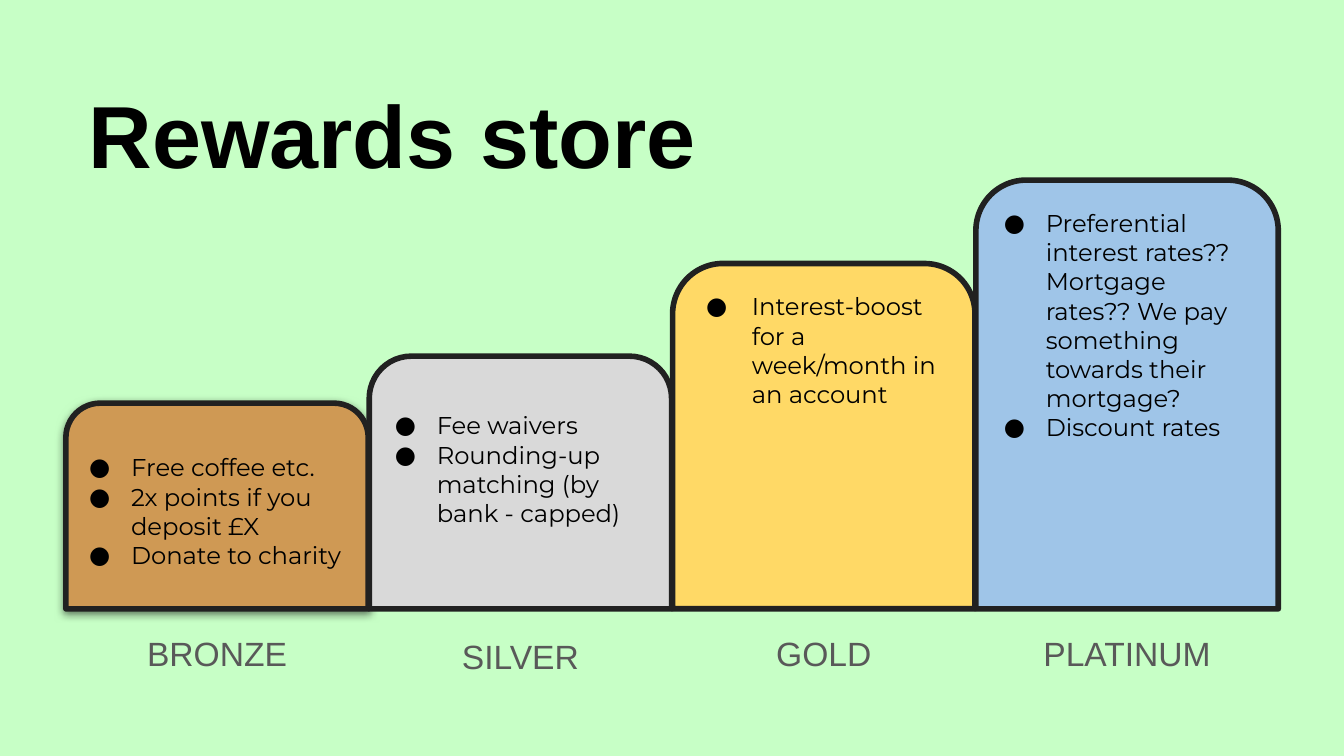
from lxml import etree
from pptx import Presentation
from pptx.dml.color import RGBColor
from pptx.enum import shapes, text
from pptx.oxml import ns
from pptx.util import Pt

HUES = {
    "back": "C7FFC6", "ink": "000000", "edge": "212121", "label": "595959",
    "bronze": "CF9954", "silver": "D9D9D9", "gold": "FFD966", "plat": "9FC5E8",
}

# Column grid in points
LEFT, WIDTH, PITCH, BASE = 35.3, 162, 162.5, 326.2

# Label, fill, height, list indent, top inset, label drop, items
TIERS = [
    ("BRONZE", "bronze", 110.2, 22.5, 7.2, 0,
     ["Free coffee etc.", "2x points if you deposit £X", "Donate to charity"]),
    ("SILVER", "silver", 135.4, 22.5, 22.6, 1.4,
     ["Fee waivers", "Rounding-up matching (by bank - capped)"]),
    ("GOLD", "gold", 185, 27.5, 7.2, 0,
     ["Interest-boost for a week/month in an account"]),
    ("PLATINUM", "plat", 229.7, 22.5, 7.2, 0,
     ["Preferential interest rates?? Mortgage rates?? We pay something "
      "towards their mortgage?", "Discount rates"]),
]


def rgb(name):
    return RGBColor.from_string(HUES[name])


def add(parent, tag, **attrs):
    return etree.SubElement(parent, ns.qn(tag), attrs)


def bullet(para, indent):
    props = para._p.get_or_add_pPr()
    props.set("marL", str(Pt(indent)))
    props.set("indent", str(Pt(-24.5)))
    add(add(props, "a:buClr"), "a:srgbClr", val=HUES["ink"])
    add(props, "a:buFont", typeface="Montserrat")
    add(props, "a:buChar", char="●")


def write(shape, lines, size, font="Arial", hue="ink", bold=False,
          align="LEFT", anchor="TOP", top=7.2, indent=None):
    frame = shape.text_frame
    frame.word_wrap = True
    frame.auto_size = text.MSO_AUTO_SIZE.NONE
    frame.vertical_anchor = getattr(text.MSO_ANCHOR, anchor)
    frame.margin_left = frame.margin_right = frame.margin_bottom = Pt(7.2)
    frame.margin_top = Pt(top)
    for i, line in enumerate(lines):
        para = frame.add_paragraph() if i else frame.paragraphs[0]
        para.alignment = getattr(text.PP_ALIGN, align)
        if indent is not None:
            bullet(para, indent)
        run = para.add_run()
        run.text = line
        run.font.size, run.font.name, run.font.bold = Pt(size), font, bold
        run.font.color.rgb = rgb(hue)


def shade(shape):
    fx = shape._element.spPr.find(ns.qn("a:effectLst"))
    cast = add(fx, "a:outerShdw", blurRad=str(Pt(4.5)), dist=str(Pt(1.5)),
               dir="5400000", algn="bl", rotWithShape="0")
    add(add(cast, "a:srgbClr", val=HUES["ink"]), "a:alpha", val="50000")


def head(slide, x, y, w, h):
    title = slide.shapes.title
    title.left, title.top, title.width, title.height = map(Pt, (x, y, w, h))
    write(title, ["Rewards store"], 47.2, bold=True, top=12)


def step(slide, x, base, w, tier):
    name, hue, high, indent, top, drop, items = tier
    # Rounded block with its list
    block = slide.shapes.add_shape(
        shapes.MSO_SHAPE.ROUND_2_SAME_RECTANGLE,
        Pt(x), Pt(base - high), Pt(w), Pt(high))
    block.shadow.inherit = False
    block.fill.solid()
    block.fill.fore_color.rgb = rgb(hue)
    block.line.color.rgb = rgb("edge")
    block.line.width = Pt(3)
    if hue == "bronze":
        shade(block)
    write(block, items, 13, font="Montserrat", top=top, indent=indent,
          anchor="MIDDLE" if hue == "bronze" else "TOP")
    # Label under the block
    label = slide.shapes.add_textbox(
        Pt(x), Pt(base + 5.7 + drop), Pt(w), Pt(36))
    write(label, [name], 18, hue="label", align="CENTER")


def main():
    deck = Presentation()
    deck.slide_width, deck.slide_height = Pt(720), Pt(405)
    slide = deck.slides.add_slide(deck.slide_layouts[5])
    slide.background.fill.solid()
    slide.background.fill.fore_color.rgb = rgb("back")
    head(slide, 40.3, 31, 671, 45.4)
    for i, tier in enumerate(TIERS):
        step(slide, LEFT + i * PITCH, BASE, WIDTH, tier)
    deck.save("out.pptx")


if __name__ == "__main__":
    main()
